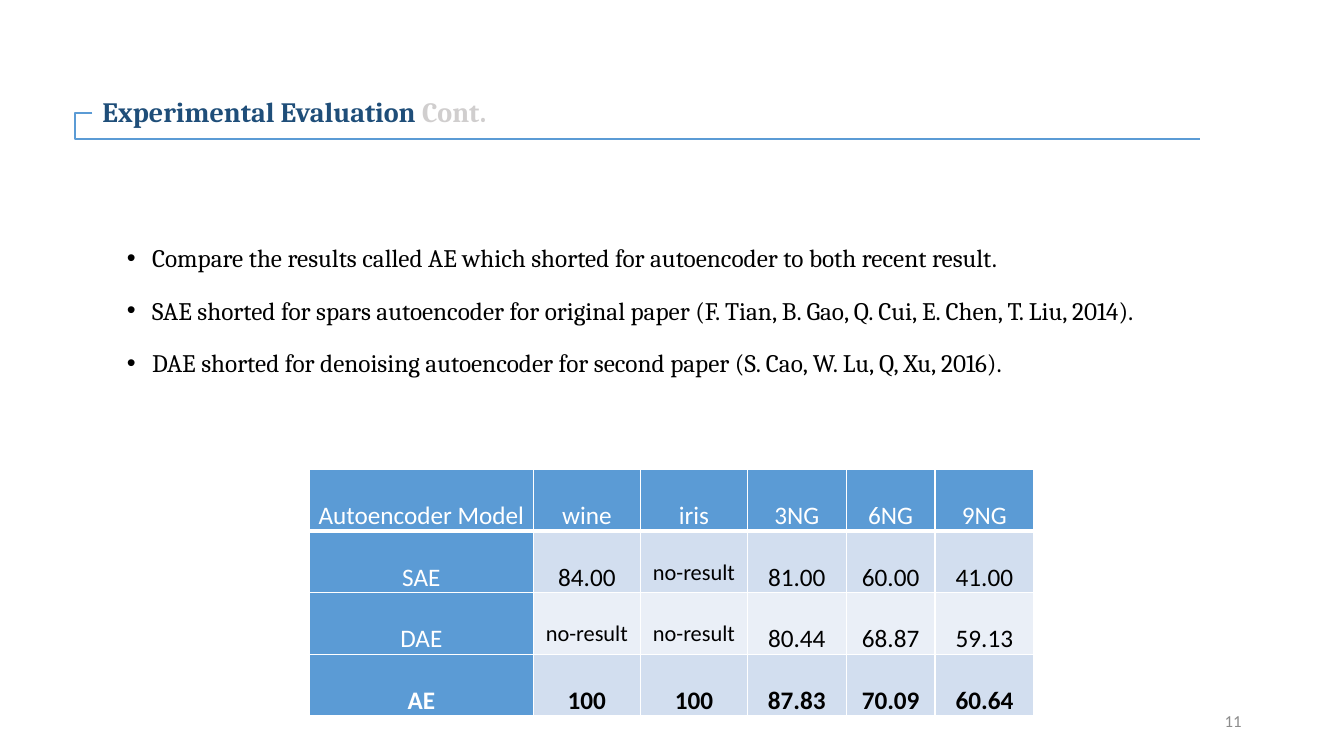
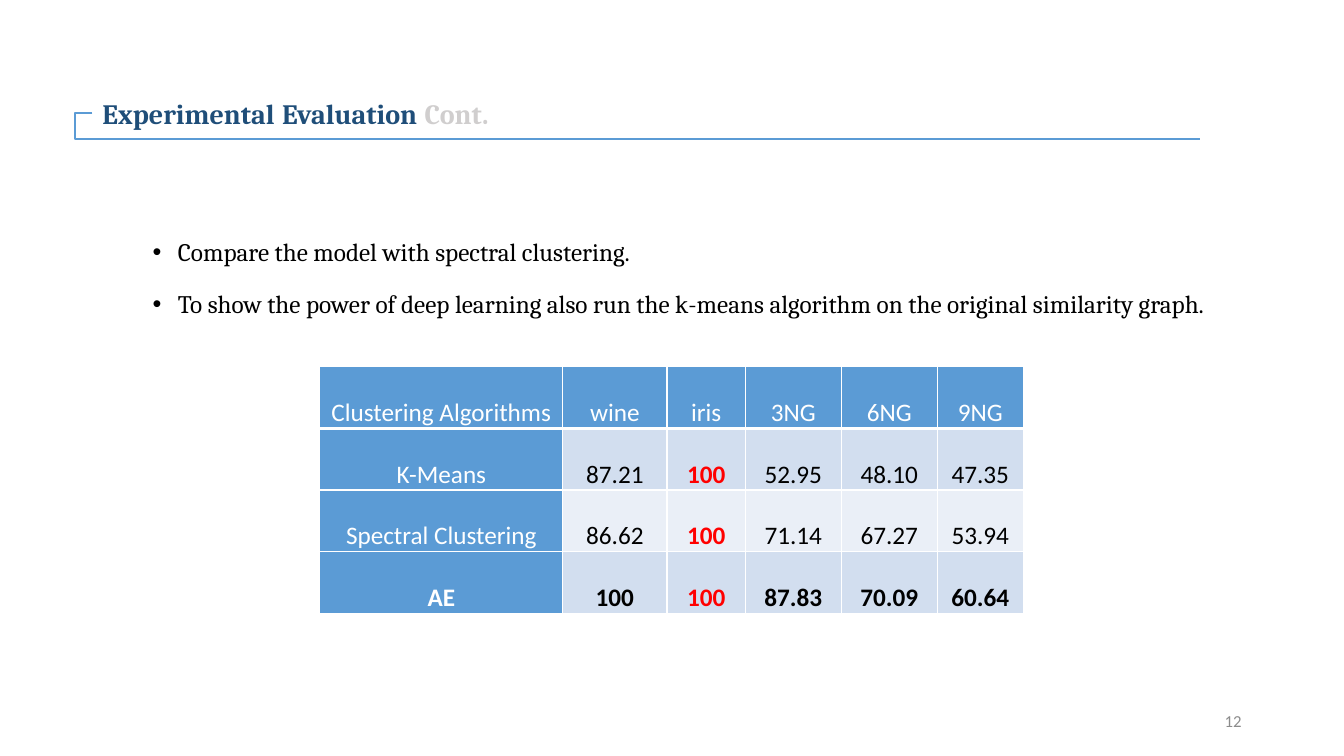
"""Build two experimental evaluation slides, each with bullets and a results table."""
import lxml.etree
import pptx
import pptx.dml.color
import pptx.enum.shapes
import pptx.enum.text
import pptx.oxml.ns
import pptx.util

Pt = pptx.util.Pt
qn = pptx.oxml.ns.qn
ALIGN = pptx.enum.text.PP_ALIGN
MIDDLE = pptx.enum.text.MSO_ANCHOR.MIDDLE
COLORS = {
    "title": "1F4E79", "muted": "D0CECE", "accent": "5B9BD5", "white": "FFFFFF",
    "band": "D2DEEF", "light band": "EAEFF7", "text": "000000", "best": "FF0000",
    "number": "8C8C8C",
}
ROW_HEIGHT = 44

SLIDES = [
    {
        "number": "11",
        "title": [("Experimental Evaluation ", 20, "title"), ("Cont.", 20, "muted")],
        "body": (47.5, 159, 810, 328),
        "align": ALIGN.JUSTIFY,
        "bullets": [
            "Compare the results called AE which shorted for autoencoder to both recent result.",
            "SAE shorted for spars autoencoder for original paper "
            "(F. Tian, B. Gao, Q. Cui, E. Chen, T. Liu, 2014).",
            "DAE shorted for denoising autoencoder for second paper (S. Cao, W. Lu, Q, Xu, 2016).",
        ],
        "corner": (221, 335.5),
        "columns": [160, 76.5, 76.5, 70.5, 63.5, 70.5],
        "red column": None,
        "rows": [
            ["Autoencoder Model", "wine", "iris", "3NG", "6NG", "9NG"],
            ["SAE", "84.00", "no-result", "81.00", "60.00", "41.00"],
            ["DAE", "no-result", "no-result", "80.44", "68.87", "59.13"],
            ["AE", "100", "100", "87.83", "70.09", "60.64"],
        ],
    },
    {
        "number": "12",
        "title": [("Experimental", 20, "title"), (" ", 24, "text"), ("Evaluation", 20, "title"),
                  (" ", 24, "text"), ("Cont.", 20, "muted")],
        "body": (66, 154.5, 828, 328),
        "align": ALIGN.LEFT,
        "bullets": [
            "Compare the model with spectral clustering.",
            "To show the power of deep learning also run the k-means algorithm "
            "on the original similarity graph.",
        ],
        "corner": (228.5, 262),
        "columns": [173.5, 74.5, 56, 68.5, 68.5, 61.5],
        "red column": 2,
        "rows": [
            ["Clustering Algorithms", "wine", "iris", "3NG", "6NG", "9NG"],
            ["K-Means", "87.21", "100", "52.95", "48.10", "47.35"],
            ["Spectral Clustering", "86.62", "100", "71.14", "67.27", "53.94"],
            ["AE", "100", "100", "87.83", "70.09", "60.64"],
        ],
    },
]


def style(font, name, size, color, bold=False):
    font.name = name
    font.size = Pt(size)
    font.bold = bold
    font.color.rgb = pptx.dml.color.RGBColor.from_string(COLORS[color])


def add_border(cell, side, width):
    line = lxml.etree.SubElement(cell._tc.get_or_add_tcPr(), qn("a:ln" + side), w=str(Pt(width)))
    fill = lxml.etree.SubElement(line, qn("a:solidFill"))
    lxml.etree.SubElement(fill, qn("a:srgbClr"), val=COLORS["white"])


deck = pptx.Presentation()
deck.slide_width = Pt(960)
deck.slide_height = Pt(540)

for content in SLIDES:
    page = deck.slides.add_slide(deck.slide_layouts[5])

    title = page.shapes.title
    title.left, title.top, title.width, title.height = Pt(66), Pt(29), Pt(828), Pt(104)
    title.text_frame.auto_size = pptx.enum.text.MSO_AUTO_SIZE.NONE
    title.text_frame.vertical_anchor = MIDDLE
    para = title.text_frame.paragraphs[0]
    para.alignment = ALIGN.LEFT
    para.line_spacing = 0.9
    for text, size, color in content["title"]:
        span = para.add_run()
        span.text = text
        style(span.font, "Cambria", size, color, True)

    bracket = page.shapes.add_connector(
        pptx.enum.shapes.MSO_CONNECTOR.ELBOW, Pt(66), Pt(81), Pt(857.5), Pt(99.5))
    bracket.line.color.rgb = pptx.dml.color.RGBColor.from_string(COLORS["accent"])
    bracket.line.width = Pt(1.5)
    properties = bracket._element.spPr
    lxml.etree.SubElement(properties, qn("a:effectLst"))
    guides = properties.find(qn("a:prstGeom")).find(qn("a:avLst"))
    lxml.etree.SubElement(guides, qn("a:gd"), name="adj1", fmla="val -1600")

    body = page.shapes.add_textbox(*map(Pt, content["body"])).text_frame
    body.word_wrap = True
    for index, text in enumerate(content["bullets"]):
        para = body.add_paragraph() if index else body.paragraphs[0]
        para.text = text
        indents = para._p.get_or_add_pPr()
        indents.set("marL", str(Pt(54)))
        indents.set("indent", str(Pt(-18)))
        lxml.etree.SubElement(indents, qn("a:buFont"), typeface="Arial")
        lxml.etree.SubElement(indents, qn("a:buChar"), char="•")
        para.alignment = content["align"]
        para.line_spacing = 1.5
        para.space_before = Pt(5 if index else 0)
        style(para.font, "Cambria", 18, "text")

    rows, columns = content["rows"], content["columns"]
    left, top = content["corner"]
    table = page.shapes.add_table(
        len(rows), len(columns), Pt(left), Pt(top),
        Pt(sum(columns)), Pt(ROW_HEIGHT * len(rows))).table
    for column, width in zip(table.columns, columns):
        column.width = Pt(width)
    for row, values in enumerate(rows):
        table.rows[row].height = Pt(ROW_HEIGHT)
        for column, value in enumerate(values):
            cell = table.cell(row, column)
            cell.margin_left = cell.margin_right = Pt(5)
            cell.margin_top = cell.margin_bottom = 0
            for side in "LRTB":
                add_border(cell, side, 3 if (row, side) in [(0, "B"), (1, "T")] else 1)
            heading = row == 0 or column == 0
            red = not heading and column == content["red column"]
            band = "band" if row % 2 else "light band"
            cell.fill.solid()
            cell.fill.fore_color.rgb = pptx.dml.color.RGBColor.from_string(
                COLORS["accent" if heading else band])
            para = cell.text_frame.paragraphs[0]
            para.text = value
            para.alignment = ALIGN.CENTER
            para.line_spacing = 2.0
            color = "white" if heading else "best" if red else "text"
            size = 16 if value == "no-result" else 18
            style(para.font, "Calibri", size, color, red or values[0] == "AE")

    footer = page.shapes.add_textbox(Pt(678), Pt(500.5), Pt(216), Pt(29)).text_frame
    footer.word_wrap = True
    footer.vertical_anchor = MIDDLE
    para = footer.paragraphs[0]
    para.text = content["number"]
    para.alignment = ALIGN.RIGHT
    style(para.font, "Calibri", 12, "number")

deck.save("out.pptx")
